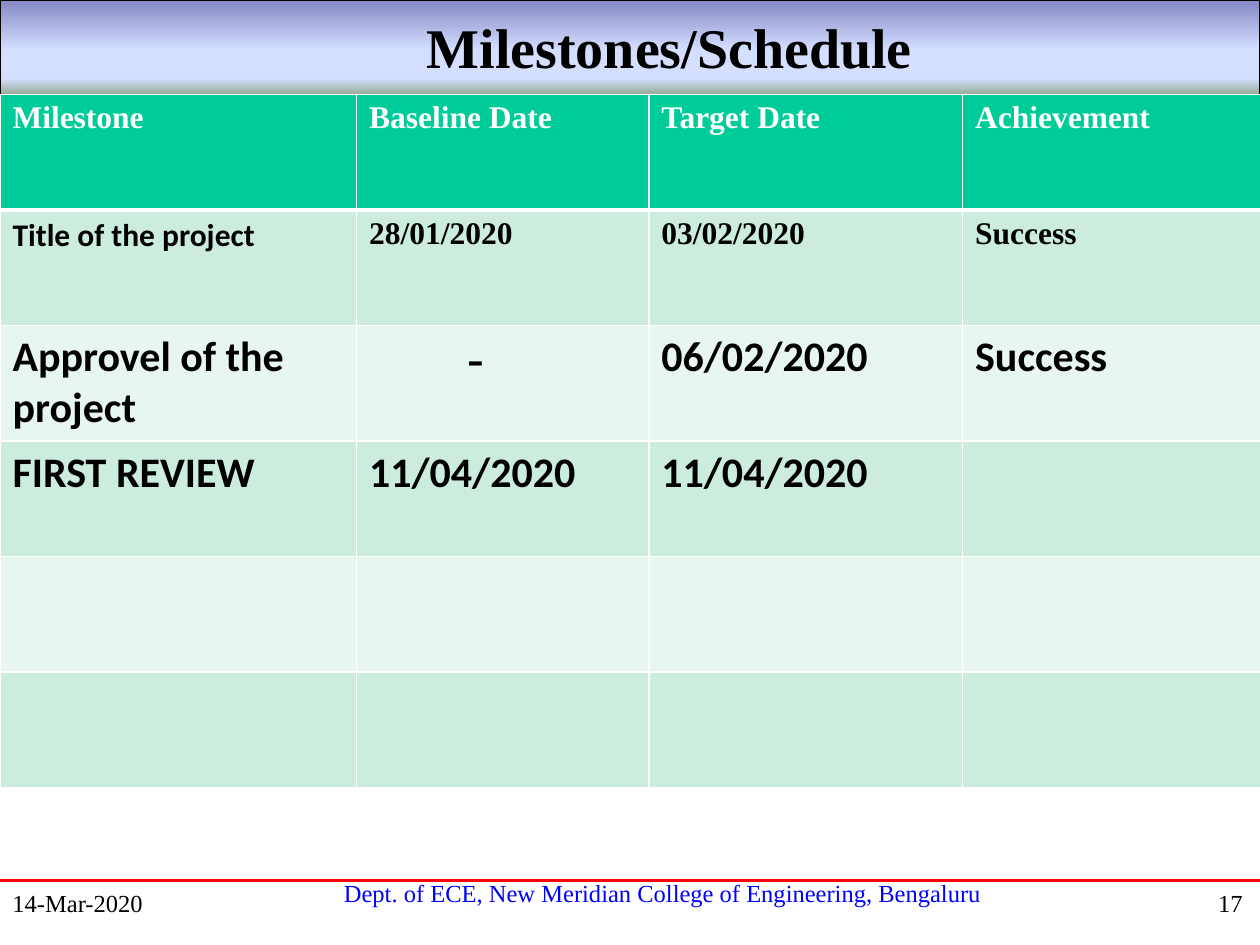
from dataclasses import dataclass

from lxml.etree import SubElement
from pptx import Presentation
from pptx.dml.color import RGBColor
from pptx.enum.shapes import MSO_CONNECTOR, MSO_SHAPE
from pptx.enum.text import PP_ALIGN
from pptx.oxml import parse_xml
from pptx.oxml.ns import nsdecls, qn
from pptx.util import Inches, Pt


@dataclass(frozen=True)
class Theme:
    serif: str = "Times New Roman"
    sans: str = "Calibri"
    black: str = "000000"
    white: str = "FFFFFF"
    red: str = "FF0000"
    blue: str = "0000FF"
    header: str = "00CC99"
    bands: tuple = ("CCECDE", "E7F6EF")
    banner: tuple = ((0, "8488C4"), (53, "D4DEFF"), (83, "D4DEFF"), (100, "96AB94"))
    title_size: int = 32
    footer_size: int = 14
    small: int = 18
    large: int = 24
    dash: int = 28


THEME = Theme()
SERIF_SMALL = {"name": THEME.serif, "size": THEME.small}
SANS_SMALL = {"name": THEME.sans, "size": THEME.small}
SANS_LARGE = {"name": THEME.sans, "size": THEME.large}
SERIF_DASH = {"name": THEME.serif, "size": THEME.dash}
FOOTER = {"name": THEME.serif, "size": THEME.footer_size}

COLUMN_WIDTHS = (2.83, 2.32, 2.49, 2.49)
ROW_COUNT, TABLE_HEIGHT = 6, 5.5
DASH_INDENT = 0.88
MILESTONES = (
    (("Milestone", SERIF_SMALL), ("Baseline Date", SERIF_SMALL),
     ("Target Date", SERIF_SMALL), ("Achievement", SERIF_SMALL)),
    (("Title of the project", SANS_SMALL), ("28/01/2020", SERIF_SMALL),
     ("03/02/2020", SERIF_SMALL), ("Success", SERIF_SMALL)),
    (("Approvel of the project", SANS_LARGE), ("-", SERIF_DASH),
     ("06/02/2020", SANS_LARGE), ("Success", SANS_LARGE)),
    (("FIRST REVIEW", SANS_LARGE), ("11/04/2020", SANS_LARGE),
     ("11/04/2020", SANS_LARGE)),
)


def write(frame, text, style, color=THEME.black, align=PP_ALIGN.LEFT):
    para = frame.paragraphs[0]
    para.alignment = align
    span = para.add_run()
    span.text = text
    for key, value in style.items():
        setattr(span.font, key, Pt(value) if key == "size" else value)
    span.font.color.rgb = RGBColor.from_string(color)


def add_text(page, bounds, text, style, indent=0.1, **options):
    box = page.shapes.add_textbox(*map(Inches, bounds))
    box.text_frame.word_wrap = True
    box.text_frame.margin_left = Inches(indent)
    write(box.text_frame, text, style, **options)


def add_banner(page):
    banner = page.shapes.add_shape(MSO_SHAPE.RECTANGLE, 0, 0, Inches(10), Inches(0.75))
    banner.shadow.inherit = False
    banner.line.color.rgb = RGBColor.from_string(THEME.black)
    banner.line.width = Pt(0.75)
    banner.fill.gradient()
    banner.fill.gradient_angle = 270
    stops = banner.element.spPr.find(qn("a:gradFill")).find(qn("a:gsLst"))
    for stop in list(stops):
        stops.remove(stop)
    for position, color in THEME.banner:
        stop = SubElement(stops, qn("a:gs"), pos=str(position * 1000))
        SubElement(stop, qn("a:srgbClr"), val=color)


def add_rule(page, top, width):
    """Draw a red line across the whole slide."""
    rule = page.shapes.add_connector(
        MSO_CONNECTOR.STRAIGHT, 0, Inches(top), Inches(10), Inches(top))
    rule.line.color.rgb = RGBColor.from_string(THEME.red)
    rule.line.width = Pt(width)
    SubElement(rule.element.spPr, qn("a:effectLst"))


def set_borders(cell, top, bottom):
    """Give a cell white borders; they must precede its fill in the XML."""
    properties = cell._tc.get_or_add_tcPr()
    sides = {"lnL": 1, "lnR": 1, "lnT": top, "lnB": bottom}
    for place, (side, width) in enumerate(sides.items()):
        properties.insert(place, parse_xml(
            f'<a:{side} {nsdecls("a")} w="{Pt(width)}"><a:solidFill>'
            f'<a:srgbClr val="{THEME.white}"/></a:solidFill></a:{side}>'))


def add_milestone_table(page):
    table = page.shapes.add_table(
        ROW_COUNT, len(COLUMN_WIDTHS), 0, Inches(0.75),
        Inches(sum(COLUMN_WIDTHS)), Inches(TABLE_HEIGHT)).table
    for column, width in zip(table.columns, COLUMN_WIDTHS):
        column.width = Inches(width)
    for index, row in enumerate(table.rows):
        row.height = Inches(TABLE_HEIGHT / ROW_COUNT)
        fill = THEME.bands[(index - 1) % 2] if index else THEME.header
        for cell in row.cells:
            cell.fill.solid()
            cell.fill.fore_color.rgb = RGBColor.from_string(fill)
            set_borders(cell, top=3 if index == 1 else 1, bottom=1 if index else 3)
    for index, entries in enumerate(MILESTONES):
        color = THEME.black if index else THEME.white
        for column, (text, style) in enumerate(entries):
            cell = table.cell(index, column)
            write(cell.text_frame, text, {**style, "bold": True}, color)
            if text == "-":
                cell.margin_left = Inches(DASH_INDENT)


def main():
    deck = Presentation()
    deck.slide_width, deck.slide_height = Inches(10), Inches(7.5)
    page = deck.slides.add_slide(deck.slide_layouts[6])

    add_banner(page)
    add_rule(page, 0.76, 2.25)
    add_text(page, (1.67, 6.92, 7.08, 0.33),
             "Dept. of ECE, New Meridian College of Engineering, Bengaluru",
             FOOTER, indent=0.2, color=THEME.blue, align=PP_ALIGN.CENTER)
    add_rule(page, 6.99, 1.5)
    add_text(page, (0, 0.05, 9.96, 0.64), "Milestones/Schedule",
             {"name": THEME.serif, "size": THEME.title_size, "bold": True},
             indent=0.77, align=PP_ALIGN.CENTER)
    add_text(page, (0, 7, 2.08, 0.5), "14-Mar-2020", FOOTER)
    add_text(page, (7.88, 7, 2.08, 0.5), "17", FOOTER, align=PP_ALIGN.RIGHT)
    add_milestone_table(page)
    deck.save("out.pptx")


if __name__ == "__main__":
    main()
